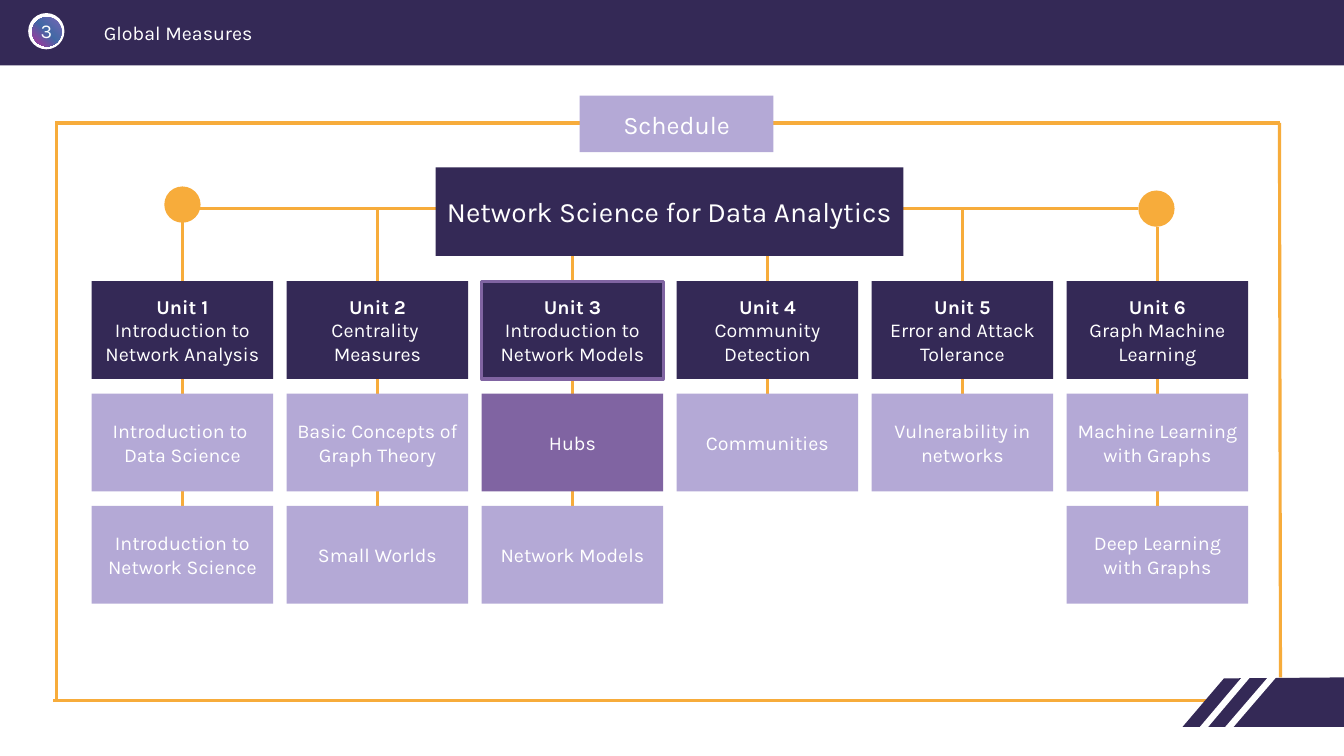
"""Builds the course schedule slide: six units hanging from one course title."""
import copy
from dataclasses import dataclass

import lxml.etree
import pptx
import pptx.dml.color
import pptx.enum.shapes
import pptx.enum.text
import pptx.oxml.ns
import pptx.util

Inches = pptx.util.Inches
Shape = pptx.enum.shapes.MSO_SHAPE
Align = pptx.enum.text.PP_ALIGN
Anchor = pptx.enum.text.MSO_ANCHOR
AutoSize = pptx.enum.text.MSO_AUTO_SIZE


@dataclass(frozen=True)
class Theme:
    font: str = "Karla"
    navy: str = "342956"
    lilac: str = "B4A9D6"
    purple: str = "8064A2"
    orange: str = "F7AC3B"
    white: str = "FFFFFF"
    badge: tuple = ((0, "7864B5"), (0.49, "4269A5"), (1, "B2329A"))
    body: int = 14
    label: int = 18
    heading: int = 20
    rule: float = 2.25
    stripe: float = 4.5


def color(value):
    return pptx.dml.color.RGBColor.from_string(value)


class SlideBuilder:
    def __init__(self, slide, theme):
        self.slide = slide
        self.theme = theme
        self.shapes = slide.shapes

    def add_text(self, frame, lines, size, align=Align.CENTER, bold_first=False):
        frame.word_wrap = True
        for index, line in enumerate(lines):
            para = frame.paragraphs[0] if index == 0 else frame.add_paragraph()
            para.alignment = align
            span = para.add_run()
            span.text = line
            span.font.name = self.theme.font
            span.font.size = pptx.util.Pt(size)
            span.font.bold = bold_first and index == 0
            span.font.color.rgb = color(self.theme.white)

    def paint(self, shape, fill, outline=None):
        shape.shadow.inherit = False
        shape.fill.solid()
        shape.fill.fore_color.rgb = color(fill)
        if outline:
            shape.line.color.rgb = color(outline)
            shape.line.width = pptx.util.Pt(self.theme.rule)
        else:
            shape.line.fill.background()

    def box(self, left, top, width, height, fill, lines=(), size=None,
            outline=None, bold_first=False):
        box = self.shapes.add_shape(Shape.RECTANGLE, Inches(left), Inches(top),
                                    Inches(width), Inches(height))
        self.paint(box, fill, outline)
        box.text_frame.vertical_anchor = Anchor.MIDDLE
        self.add_text(box.text_frame, lines, size or self.theme.body, bold_first=bold_first)

    def circle(self, left, top, size, fill):
        circle = self.shapes.add_shape(Shape.OVAL, Inches(left), Inches(top),
                                       Inches(size), Inches(size))
        self.paint(circle, fill)
        return circle

    def gradient_circle(self, left, top, size, stops):
        circle = self.circle(left, top, size, self.theme.white)
        circle.fill.gradient()
        circle.fill.gradient_angle = 225
        stop_list = circle.element.spPr.find(".//" + pptx.oxml.ns.qn("a:gsLst"))
        stop_list.append(copy.deepcopy(stop_list[0]))
        for stop, (position, value) in zip(circle.fill.gradient_stops, stops):
            stop.position = position
            stop.color.rgb = color(value)

    def line(self, start, end, value=None, width=None):
        line = self.shapes.add_connector(
            pptx.enum.shapes.MSO_CONNECTOR.STRAIGHT,
            *(Inches(length) for length in (*start, *end)))
        line.line.color.rgb = color(value or self.theme.orange)
        line.line.width = pptx.util.Pt(width or self.theme.rule)
        lxml.etree.SubElement(line.element.spPr, pptx.oxml.ns.qn("a:effectLst"))

    def outline(self, points, fill):
        corners = [(Inches(x), Inches(y)) for x, y in points]
        builder = self.shapes.build_freeform(*corners[0])
        builder.add_line_segments(corners[1:], close=True)
        self.paint(builder.convert_to_shape(), fill)

    def title(self, text, left, top, width, height):
        title = self.shapes.title
        self.shapes.element.append(title.element)
        title.left, title.top = Inches(left), Inches(top)
        title.width, title.height = Inches(width), Inches(height)
        title.text_frame.auto_size = AutoSize.NONE
        title.text_frame.vertical_anchor = Anchor.TOP
        self.add_text(title.text_frame, [text], self.theme.body, Align.LEFT)

    def number(self, text, left, top, width, height):
        box = self.shapes.add_textbox(Inches(left), Inches(top), Inches(width), Inches(height))
        frame = box.text_frame
        frame.margin_left = frame.margin_right = frame.margin_top = frame.margin_bottom = 0
        self.add_text(frame, [text], self.theme.body)


UNITS = [
    (["Introduction to Network Analysis"],
     [["Introduction to ", "Data Science"], ["Introduction to Network Science"]]),
    (["Centrality ", "Measures"],
     [["Basic Concepts of Graph Theory"], ["Small Worlds"]]),
    (["Introduction to Network Models"], [["Hubs"], ["Network Models"]]),
    (["Community Detection"], [["Communities"]]),
    (["Error and Attack Tolerance"], [["Vulnerability in networks"]]),
    (["Graph Machine Learning"],
     [["Machine Learning with Graphs"], ["Deep Learning with Graphs"]]),
]
CURRENT_UNIT = 3
LINE_SPANS = [(2.19, 5.76), (2.07, 5.21), (2.42, 5.76),
              (2.19, 4.67), (2.07, 4.81), (2.25, 5.76)]
GRID_LEFT, GRID_RIGHT = 0.91, 10.58
GRID_TOP, GRID_BOTTOM = 2.79, 5.02
COLUMN_STEP = (GRID_RIGHT - GRID_LEFT) / (len(UNITS) - 1)
ROW_STEP = (GRID_BOTTOM - GRID_TOP) / 2
CELL_WIDTH, CELL_HEIGHT = 1.8, 0.97


def draw_header(page, theme):
    page.box(0, 0, 13.33, 0.65, theme.navy)
    page.circle(0.28, 0.13, 0.36, theme.white)
    page.gradient_circle(0.32, 0.17, 0.29, theme.badge)
    page.title("Global Measures", 0.93, 0.16, 5.61, 0.3)
    page.number("3", 0.28, 0.19, 0.36, 0.24)


def draw_frame(page, theme):
    page.line((12.7, 6.72), (12.69, 1.22))
    page.line((0.56, 6.95), (0.56, 1.2))
    page.line((0.53, 6.95), (12.1, 6.95))
    page.outline([(12.14, 6.73), (13.33, 6.72), (13.33, 7.21), (11.73, 7.21)], theme.navy)
    page.line((11.85, 7.32), (12.45, 6.61), theme.white, theme.stripe)
    page.line((12.1, 7.32), (12.65, 6.68), theme.white, theme.stripe)
    page.line((0.56, 1.22), (12.7, 1.22))
    page.box(5.75, 0.95, 1.92, 0.56, theme.lilac, ["Schedule"], theme.label)


def draw_schedule(page, theme):
    page.line((1.81, 2.07), (11.29, 2.07))
    for column, (top, bottom) in enumerate(LINE_SPANS):
        center = GRID_LEFT + CELL_WIDTH / 2 + column * COLUMN_STEP
        page.line((center, top), (center, bottom))
    page.circle(1.63, 1.85, 0.36, theme.orange)
    page.circle(11.29, 1.89, 0.36, theme.orange)
    page.box(4.32, 1.66, 4.64, 0.88, theme.navy,
             ["Network Science for Data Analytics"], theme.heading)

    for column, (name, topics) in enumerate(UNITS):
        left = GRID_LEFT + column * COLUMN_STEP
        current = column + 1 == CURRENT_UNIT
        page.box(left, GRID_TOP, CELL_WIDTH, CELL_HEIGHT, theme.navy,
                 [f"Unit {column + 1}", *name], bold_first=True,
                 outline=theme.purple if current else None)
        for row, topic in enumerate(topics, start=1):
            fill = theme.purple if current and row == 1 else theme.lilac
            page.box(left, GRID_TOP + row * ROW_STEP, CELL_WIDTH, CELL_HEIGHT, fill, topic)


def main():
    deck = pptx.Presentation()
    deck.slide_width, deck.slide_height = Inches(13.33), Inches(7.5)
    theme = Theme()
    page = SlideBuilder(deck.slides.add_slide(deck.slide_layouts[5]), theme)
    draw_header(page, theme)
    draw_frame(page, theme)
    draw_schedule(page, theme)
    deck.save("out.pptx")


if __name__ == "__main__":
    main()
